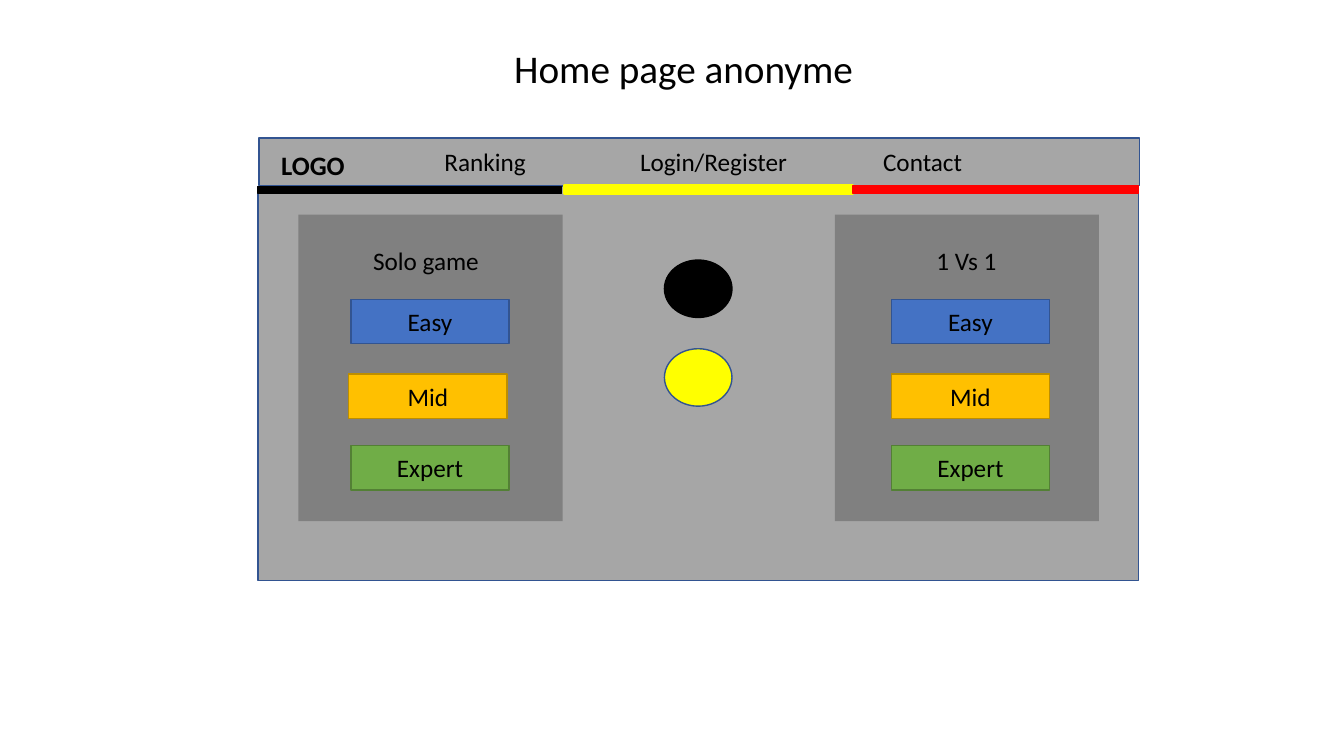
import pptx
import pptx.dml.color
import pptx.enum.shapes
import pptx.enum.text
import pptx.oxml
import pptx.oxml.ns
import pptx.util

Inches = pptx.util.Inches
RGBColor = pptx.dml.color.RGBColor
SHAPE = pptx.enum.shapes.MSO_SHAPE
ALIGN = pptx.enum.text.PP_ALIGN
ANCHOR = pptx.enum.text.MSO_ANCHOR

BLACK = RGBColor(0x00, 0x00, 0x00)
YELLOW = RGBColor(0xFF, 0xFF, 0x00)
RED = RGBColor(0xFF, 0x00, 0x00)
PAGE_GRAY = RGBColor(0xA6, 0xA6, 0xA6)
PANEL_GRAY = RGBColor(0x80, 0x80, 0x80)
BLUE = RGBColor(0x44, 0x72, 0xC4)
DARK_BLUE = RGBColor(0x32, 0x54, 0x91)
AMBER = RGBColor(0xFF, 0xC0, 0x00)
DARK_AMBER = RGBColor(0xBD, 0x8E, 0x00)
GREEN = RGBColor(0x70, 0xAD, 0x47)
DARK_GREEN = RGBColor(0x53, 0x80, 0x35)

MENU = [("Ranking", 1.74), ("Login/Register", 3.68), ("Contact", 6.09)]
LEVELS = [
    ("Easy", 2.97, BLUE, DARK_BLUE),
    ("Mid", 3.71, AMBER, DARK_AMBER),
    ("Expert", 4.42, GREEN, DARK_GREEN),
]


def add_span(para, text, size=18, bold=False):
    span = para.add_run()
    span.text = text
    span.font.name = "Calibri"
    span.font.size = pptx.util.Pt(size)
    span.font.bold = bold
    span.font.color.rgb = BLACK


def add_block(page, place, fill, line=None, weight=1, kind=SHAPE.RECTANGLE):
    block = page.shapes.add_shape(kind, *map(Inches, place))
    block.shadow.inherit = False
    block.fill.solid()
    block.fill.fore_color.rgb = fill
    if line is None:
        block.line.fill.background()
    else:
        block.line.color.rgb = line
        block.line.width = pptx.util.Pt(weight)
    block.text_frame.vertical_anchor = ANCHOR.MIDDLE
    return block


def add_label(page, place, text, size=18, bold=False, align=ALIGN.LEFT):
    box = page.shapes.add_textbox(*map(Inches, place))
    box.text_frame.word_wrap = True
    para = box.text_frame.paragraphs[0]
    para.alignment = align
    add_span(para, text, size, bold)


def add_title(page, text):
    title = page.shapes.title
    title.left, title.top = Inches(5), Inches(0.39)
    title.width, title.height = Inches(3.81), Inches(0.57)
    title.text_frame.word_wrap = True
    title.text_frame.vertical_anchor = ANCHOR.TOP
    para = title.text_frame.paragraphs[0]
    para.alignment = ALIGN.LEFT
    para.line_spacing = 1.0
    add_span(para, text, 28)


def add_menu(page):
    bar = add_block(page, (2.57, 1.37, 8.73, 0.47), PAGE_GRAY, DARK_BLUE)
    para = bar.text_frame.paragraphs[0]
    para.alignment = ALIGN.LEFT
    stops = pptx.oxml.ns.qn("a:tabLst")
    tabs = para._p.get_or_add_pPr().makeelement(stops, {})
    para._p.get_or_add_pPr().append(tabs)
    for name, position in MENU:
        tab = tabs.makeelement(pptx.oxml.ns.qn("a:tab"), {"pos": str(Inches(position)), "algn": "l"})
        tabs.append(tab)
        add_span(para, "\t" + name)


def add_game_panel(page, left, heading, button_lefts):
    add_block(page, (left, 2.13, 2.62, 3.04), PANEL_GRAY)
    add_label(page, (button_lefts[0], 2.38, 1.49, 0.4), heading, align=ALIGN.CENTER)
    for (name, top, fill, line), button_left in zip(LEVELS, button_lefts):
        button = add_block(page, (button_left, top, 1.57, 0.44), fill, line)
        para = button.text_frame.paragraphs[0]
        para.alignment = ALIGN.CENTER
        add_span(para, name)


def main():
    deck = pptx.Presentation()
    deck.slide_width, deck.slide_height = Inches(13.33), Inches(7.5)
    page = deck.slides.add_slide(deck.slide_layouts.get_by_name("Title Only"))
    add_title(page, "Home page anonyme")

    add_menu(page)
    add_block(page, (2.56, 1.85, 8.73, 3.91), PAGE_GRAY, DARK_BLUE)
    add_block(page, (5.59, 1.84, 2.87, 0.08), YELLOW, YELLOW, 1.5)
    add_block(page, (8.46, 1.84, 2.83, 0.08), RED, RED)
    add_block(page, (2.56, 1.85, 3.01, 0.07), BLACK, BLACK)
    for top, fill, line in [(2.58, BLACK, BLACK), (3.46, YELLOW, DARK_BLUE)]:
        add_block(page, (6.59, top, 0.67, 0.57), fill, line, kind=SHAPE.FLOWCHART_CONNECTOR)
    add_label(page, (2.69, 1.43, 1, 0.42), "LOGO", 19, True)

    add_game_panel(page, 2.96, "Solo game", (3.48, 3.46, 3.48))
    add_game_panel(page, 8.28, "1 Vs 1", (8.84, 8.84, 8.84))
    deck.save("out.pptx")


if __name__ == "__main__":
    main()
